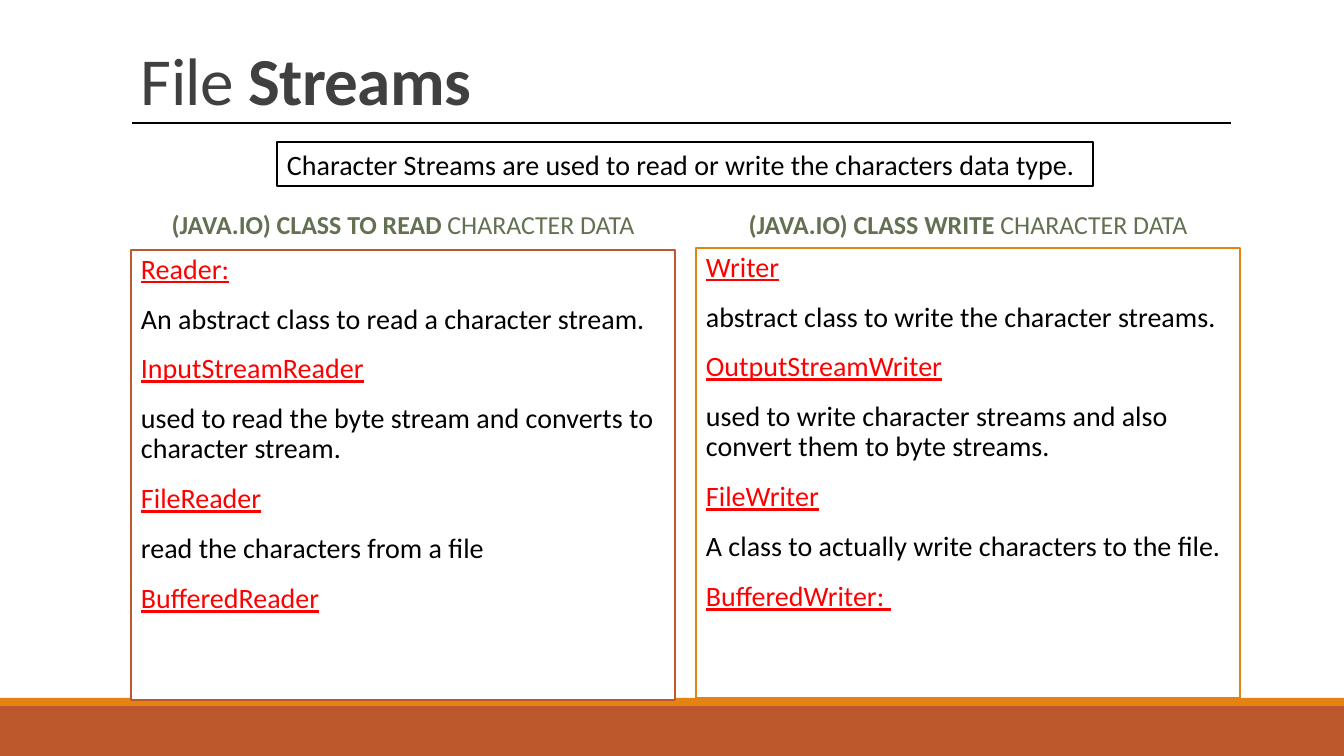
from pptx import Presentation
from pptx import util as u
from pptx.dml.color import RGBColor
from pptx.enum import shapes, text
from pptx.oxml.ns import qn
from lxml import etree

W, H = 1344, 756
SCALE = 12192000 / W
RUST, ORANGE, SAGE = "BD582C", "E48312", "637052"
BLACK, WHITE, RED, GREY = "000000", "FFFFFF", "FF0000", "404040"

READERS = [
    ("Reader:", "An abstract class to read a character stream."),
    ("InputStreamReader",
     "used to read the byte stream and converts to character stream."),
    ("FileReader", "read the characters from a file"),
    ("BufferedReader", None),
]
WRITERS = [
    ("Writer", "abstract class to write the character streams."),
    ("OutputStreamWriter",
     "used to write character streams and also convert them to byte streams."),
    ("FileWriter", "A class to actually write characters to the file."),
    ("BufferedWriter: ", None),
]


def px(n):
    return u.Emu(round(n * SCALE))


def rgb(value):
    return RGBColor.from_string(value)


def set_all(obj, values):
    for name, value in values.items():
        setattr(obj, name, value)


def add_rect(s, box, fill, line=None):
    sp = s.shapes.add_shape(shapes.MSO_SHAPE.RECTANGLE, *map(px, box))
    sp.shadow.inherit = False
    sp.fill.solid()
    sp.fill.fore_color.rgb = rgb(fill)
    if line:
        sp.line.color.rgb = rgb(line)
        sp.line.width = u.Pt(1.25)
    else:
        sp.line.fill.background()
    return sp


def write(sp, paragraphs, anchor, **paragraph_format):
    """Fill a shape; each paragraph is a list of (text, color, font values)."""
    tf = sp.text_frame
    set_all(tf, {"word_wrap": True, "vertical_anchor": anchor,
                 "margin_left": px(10), "margin_right": px(10),
                 "margin_top": px(5), "margin_bottom": px(5)})
    for i, runs in enumerate(paragraphs):
        p = tf.add_paragraph() if i else tf.paragraphs[0]
        set_all(p, {"alignment": text.PP_ALIGN.LEFT, **paragraph_format})
        if i == 0:
            p.space_before = u.Pt(0)
        for content, color, font in runs:
            r = p.add_run()
            r.text = content
            set_all(r.font, {"name": "Calibri", **font})
            r.font.color.rgb = rgb(color)


def add_footer(s, x, y, w, h):
    stripe = 8
    add_rect(s, (x, y + stripe, w, h - stripe), RUST)
    add_rect(s, (x, y, w, stripe), ORANGE)


def add_title(s, x, y, w, h):
    # Rule under the title
    rule_y = px(y + h - 1)
    rule = s.shapes.add_connector(shapes.MSO_CONNECTOR.STRAIGHT,
                                  px(x + 1), rule_y, px(x + w - 9), rule_y)
    rule.line.color.rgb = rgb(BLACK)
    rule.line.width = u.Pt(1)
    etree.SubElement(rule._element.spPr, qn("a:effectLst"))
    # Title text, slightly tightened
    sp = s.shapes.add_textbox(*map(px, (x, y, w, h)))
    size = u.Pt(48)
    write(sp, [[("File ", GREY, {"size": size}),
                ("Streams", GREY, {"size": size, "bold": True})]],
          text.MSO_ANCHOR.BOTTOM, line_spacing=0.85)
    for r in sp.text_frame.paragraphs[0].runs:
        r._r.get_or_add_rPr().set("spc", "-50")


def add_summary(s, *box):
    sp = add_rect(s, box, WHITE, BLACK)
    sentence = "Character Streams are used to read or write the characters data type."
    write(sp, [[(sentence, BLACK, {"size": u.Pt(20)})]], text.MSO_ANCHOR.TOP)


def add_column(s, x, y, w, h, heading, classes, line, gap):
    # Heading above the frame
    head_h, size = 35, u.Pt(18.5)
    sp = s.shapes.add_textbox(*map(px, (x, y, w, head_h)))
    write(sp, [[(heading, SAGE, {"size": size, "bold": True}),
                (" CHARACTER DATA", SAGE, {"size": size})]],
          text.MSO_ANCHOR.MIDDLE, alignment=text.PP_ALIGN.CENTER,
          line_spacing=0.7)
    # Framed list of classes
    top = head_h + gap
    sp = add_rect(s, (x, y + top, w, h - top), WHITE, line)
    size = u.Pt(20)
    paragraphs = []
    for name, purpose in classes:
        paragraphs.append([(name, RED, {"size": size, "underline": True})])
        if purpose:
            paragraphs.append([(purpose, BLACK, {"size": size})])
    write(sp, paragraphs, text.MSO_ANCHOR.TOP, line_spacing=0.9,
          space_before=u.Pt(12), space_after=u.Pt(2))
    sp.text_frame.margin_right = 0


def main():
    prs = Presentation()
    prs.slide_width, prs.slide_height = px(W), px(H)
    s = prs.slides.add_slide(prs.slide_layouts[6])
    add_footer(s, 0, 698, W, H - 698)
    add_title(s, 131, 42, 1109, 82)
    add_column(s, 131, 210, 544, 490, "(JAVA.IO) CLASS TO READ",
               READERS, RUST, 5)
    add_column(s, 696, 210, 544, 488, "(JAVA.IO) CLASS WRITE",
               WRITERS, ORANGE, 3)
    add_summary(s, 277, 142, 816, 44)
    prs.save("out.pptx")


if __name__ == "__main__":
    main()
